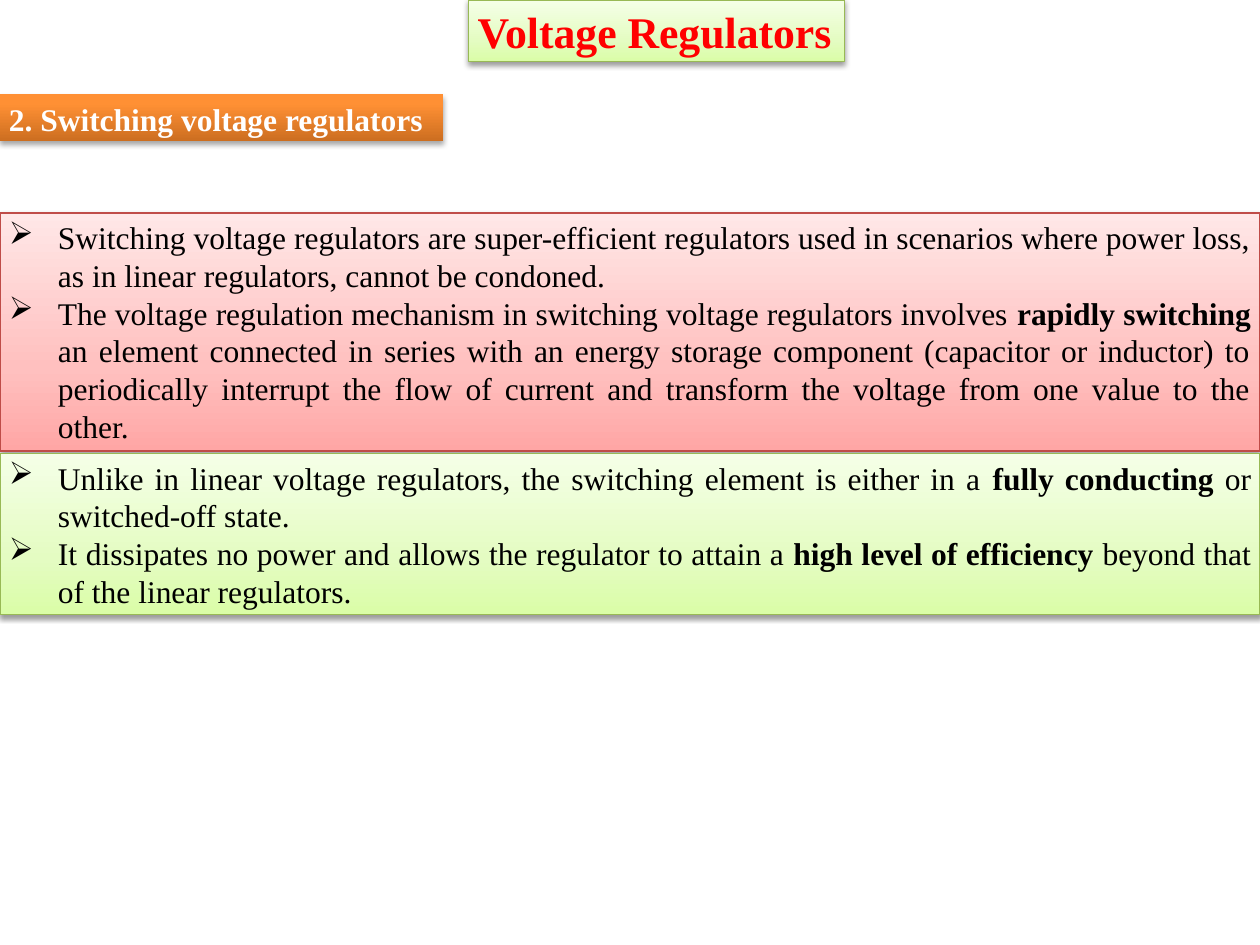
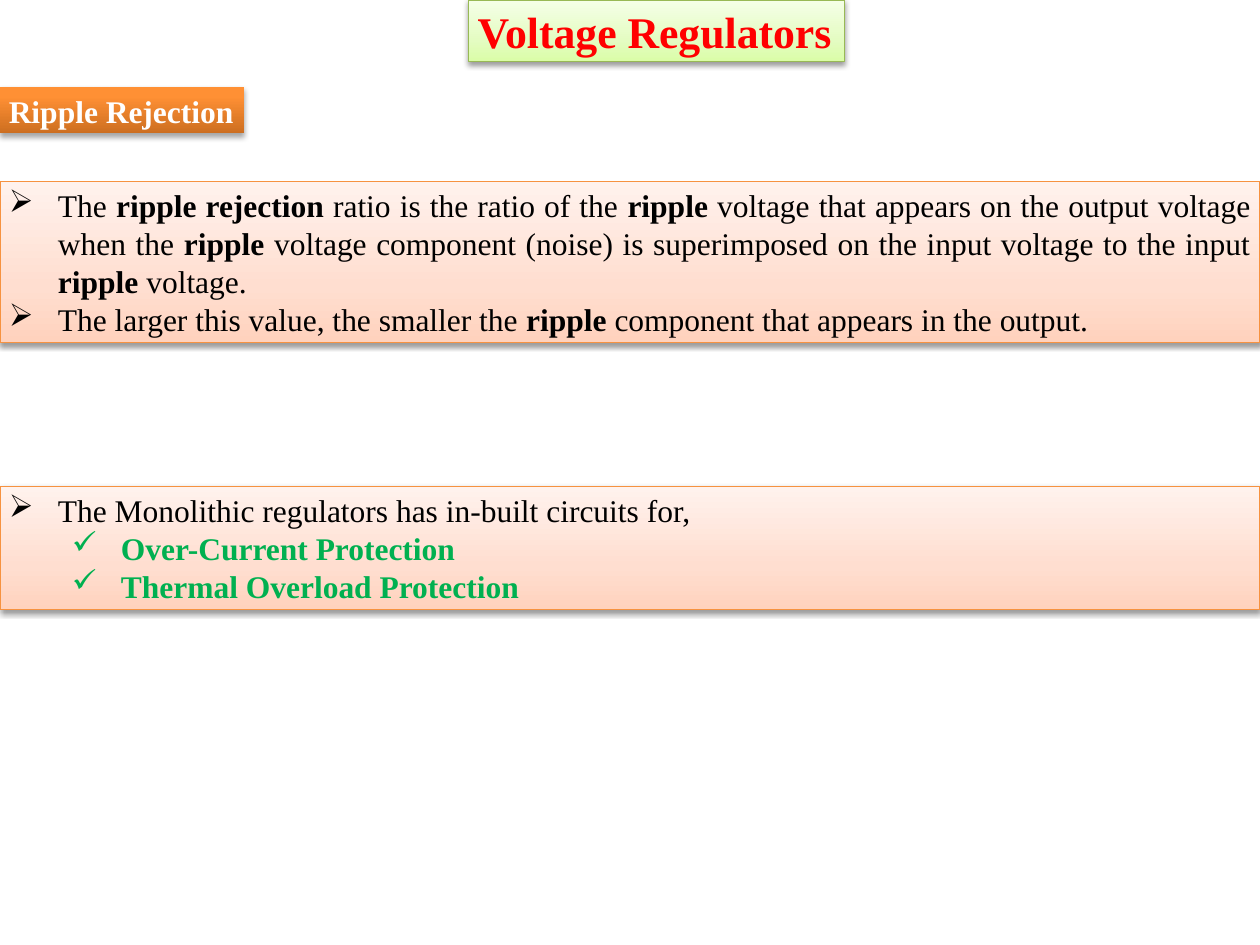
from dataclasses import dataclass

from lxml.etree import SubElement
from pptx import Presentation
from pptx.dml.color import RGBColor as Color
from pptx.enum.text import MSO_ANCHOR as Anchor, PP_ALIGN as Align
from pptx.oxml.ns import qn
from pptx.util import Inches, Pt


@dataclass(frozen=True)
class Surface:
    """Gradient stops from bottom to top, an optional outline and a shadow."""
    stops: tuple
    outline: str = ""
    shadow_alpha: int = 38
    shadow_distance: float = 1.6


class Theme:
    font = "Times New Roman"
    title_size, text_size = Pt(25), Pt(18)
    title_color, label_color = "FF0000", "FFFFFF"
    text_color, accent_color = "000000", "00B050"
    side_inset, top_inset = Inches(0.07), Inches(0.04)
    hanging, level_step = Inches(0.39), Inches(0.5)
    green = Surface(((0, "DAFDA7"), (35, "E4FCC2"), (100, "F5FFE7")), "98B955")
    red = Surface(((0, "FFA6A5"), (35, "FFC0BF"), (100, "FFE7E7")), "BF4C48")
    peach = Surface(((0, "FFD2BD"), (35, "FFDED0"), (100, "FFF2ED")), "F69240")
    orange = Surface(((0, "CC6E20"), (80, "FF9034"), (100, "FF9136")), "", 35, 1.8)


TITLE_BOX = (3.72, 0, 2.98, 0.49)
BULLETS = "➢✓"


def add_color(parent, value):
    return SubElement(parent, qn("a:srgbClr"), val=value)


def paint(shape, surface):
    shape.fill.gradient()
    shape.fill.gradient_angle = 90
    properties = shape.element.spPr
    stop_list = properties.find(qn("a:gradFill")).find(qn("a:gsLst"))
    for stop in list(stop_list):
        stop_list.remove(stop)
    for position, value in surface.stops:
        add_color(SubElement(stop_list, qn("a:gs"), pos=str(position * 1000)), value)

    if surface.outline:
        shape.line.color.rgb = Color.from_string(surface.outline)
        shape.line.width = Pt(0.75)
    else:
        shape.line.fill.background()

    shape.shadow.inherit = False
    shadow = SubElement(
        properties.find(qn("a:effectLst")), qn("a:outerShdw"),
        blurRad=str(Pt(3.1)), dist=str(Pt(surface.shadow_distance)),
        dir="5400000", rotWithShape="0")
    SubElement(add_color(shadow, "000000"), qn("a:alpha"),
               val=str(surface.shadow_alpha * 1000))


def set_frame(shape, right_inset):
    frame = shape.text_frame
    frame.word_wrap = True
    frame.vertical_anchor = Anchor.TOP
    frame.margin_left, frame.margin_right = Theme.side_inset, right_inset
    frame.margin_top = frame.margin_bottom = Theme.top_inset
    return frame


def set_font(para, size, color, bold=False):
    para.font.name = Theme.font
    para.font.size = size
    para.font.bold = bold
    para.font.color.rgb = Color.from_string(color)


def write_line(shape, text, size, color):
    para = set_frame(shape, right_inset=0).paragraphs[0]
    para.text = text
    para.alignment = Align.LEFT
    set_font(para, size, color, bold=True)


def add_title(page, text):
    title = page.shapes.title
    title.left, title.top, title.width, title.height = map(Inches, TITLE_BOX)
    paint(title, Theme.green)
    write_line(title, text, Theme.title_size, Theme.title_color)


def add_label(page, text, top, width):
    label = page.shapes.add_textbox(0, Inches(top), Inches(width), Inches(0.37))
    paint(label, Theme.orange)
    write_line(label, text, Theme.text_size, Theme.label_color)


def add_bullet(para, level):
    para.level = level
    properties = para._p.get_or_add_pPr()
    properties.set("marL", str(Theme.hanging + level * Theme.level_step))
    properties.set("indent", str(-Theme.hanging))
    SubElement(properties, qn("a:buChar"), char=BULLETS[level])


def add_panel(page, surface, top, height, items):
    """Full-width bulleted box; items are (level, text) with **bold** spans."""
    panel = page.shapes.add_textbox(0, Inches(top), Inches(10), Inches(height))
    paint(panel, surface)
    frame = set_frame(panel, Theme.side_inset)
    for number, (level, text) in enumerate(items):
        para = frame.add_paragraph() if number else frame.paragraphs[0]
        para.alignment = Align.JUSTIFY
        add_bullet(para, level)
        color = Theme.accent_color if level else Theme.text_color
        set_font(para, Theme.text_size, color, bold=level > 0)
        for index, part in enumerate(text.split("**")):
            span = para.add_run()
            span.text = part
            if index % 2:
                span.font.bold = True


def add_page(deck, label, panels):
    page = deck.slides.add_slide(deck.slide_layouts[5])
    add_title(page, "Voltage Regulators")
    add_label(page, *label)
    for panel in panels:
        add_panel(page, *panel)


SWITCHING = [
    (Theme.red, 1.69, 1.89, [
        (0, "Switching voltage regulators are super-efficient regulators used in "
            "scenarios where power loss, as in linear regulators, cannot be condoned."),
        (0, "The voltage regulation mechanism in switching voltage regulators involves "
            "**rapidly switching** an element connected in series with an energy "
            "storage component (capacitor or inductor) to periodically interrupt the "
            "flow of current and transform the voltage from one value to the other."),
    ]),
    (Theme.green, 3.6, 1.28, [
        (0, "Unlike in linear voltage regulators, the switching element is either in a "
            "**fully conducting** or switched-off state."),
        (0, "It dissipates no power and allows the regulator to attain a "
            "**high level of efficiency** beyond that of the linear regulators."),
    ]),
]
RIPPLE = [
    (Theme.peach, 1.44, 1.28, [
        (0, "The **ripple rejection** ratio is the ratio of the **ripple** voltage that "
            "appears on the output voltage when the **ripple** voltage component (noise) "
            "is superimposed on the input voltage to the input **ripple** voltage."),
        (0, "The larger this value, the smaller the **ripple** component that appears "
            "in the output."),
    ]),
    (Theme.peach, 3.86, 0.98, [
        (0, "The Monolithic regulators has in-built circuits for,"),
        (1, "Over-Current Protection"),
        (1, "Thermal Overload Protection"),
    ]),
]


def main():
    deck = Presentation()
    deck.slide_width, deck.slide_height = Inches(10), Inches(7.5)
    add_page(deck, ("2. Switching voltage regulators", 0.75, 3.52), SWITCHING)
    add_page(deck, ("Ripple Rejection", 0.69, 1.94), RIPPLE)
    deck.save("out.pptx")


if __name__ == "__main__":
    main()
